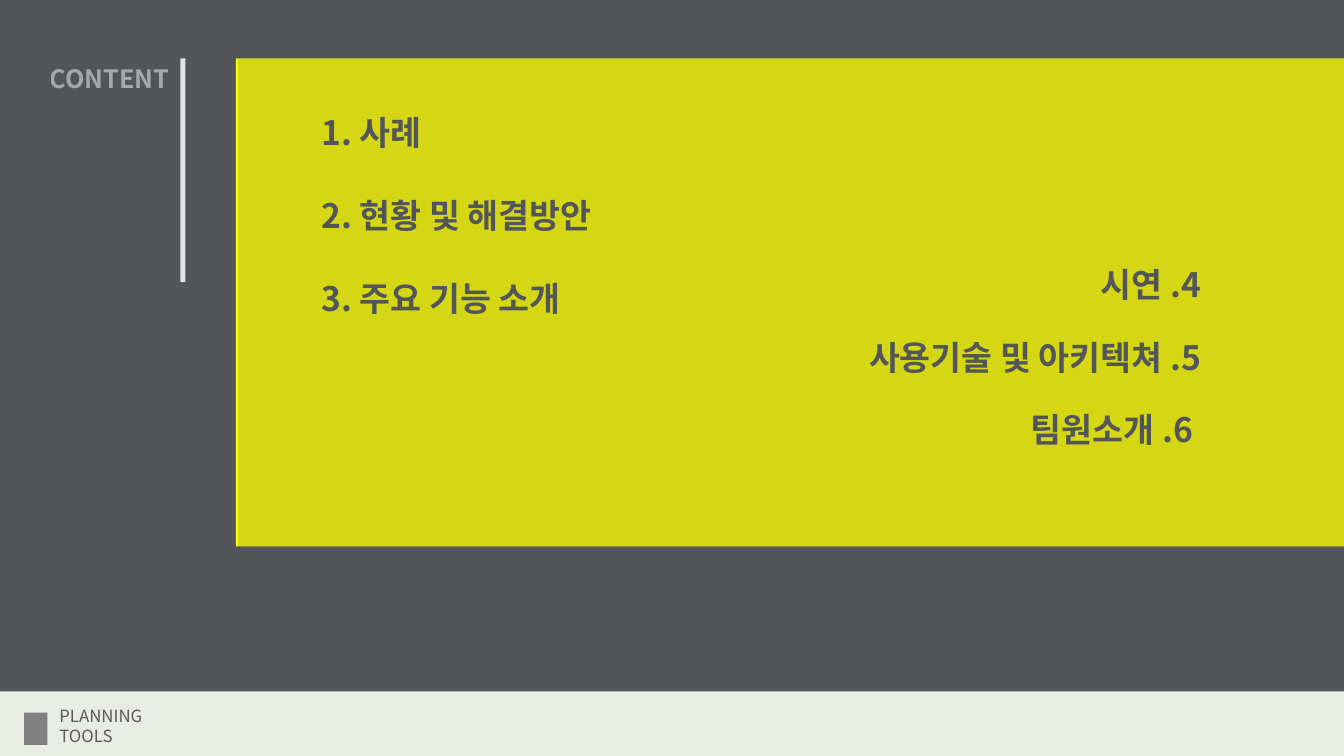
"""Build the contents slide of a planning tool deck."""
from dataclasses import dataclass

from lxml.etree import SubElement
from pptx import Presentation
from pptx.dml.color import RGBColor
from pptx.enum.shapes import MSO_SHAPE
from pptx.enum.text import MSO_ANCHOR, MSO_AUTO_SIZE, PP_ALIGN
from pptx.oxml.ns import qn
from pptx.util import Inches, Pt


@dataclass(frozen=True)
class Theme:
    font: str = "Noto Sans CJK KR"
    slate: str = "525659"
    yellow: str = "FFFF00"
    white: str = "FFFFFF"
    pale: str = "E7E6E6"
    footer: str = "E8ECE5"
    marker: str = "808080"
    caption: str = "595959"
    title_size: int = 18
    item_size: int = 24
    caption_size: int = 12


@dataclass(frozen=True)
class Area:
    left: float
    top: float
    width: float
    height: float

    def lengths(self) -> list[Inches]:
        return [Inches(n) for n in (self.left, self.top, self.width, self.height)]


@dataclass(frozen=True)
class Block:
    area: Area
    color: str
    opacity: int = 100


@dataclass(frozen=True)
class Label:
    area: Area
    lines: tuple[str, ...]
    size: int
    color: str
    align: PP_ALIGN = PP_ALIGN.LEFT
    bold: bool = False
    opacity: int = 100


THEME = Theme()
SLIDE_WIDTH, SLIDE_HEIGHT = 13.33, 7.5
PANEL_TOP, PANEL_HEIGHT = 0.58, 4.84
FOOTER_TOP = 6.86
LEFT_ITEMS = ("1. 사례", "2. 현황 및 해결방안", "3. 주요 기능 소개")
RIGHT_ITEMS = ("시연 .4", "사용기술 및 아키텍쳐 .5", "팀원소개 .6")
RIGHT_EDGES = (12.01, 12.01, 11.93)
ITEM_WIDTH, ITEM_HEIGHT = 4.1, 0.5


def panel(left: float, color: str, opacity: int = 100) -> Block:
    area = Area(left, PANEL_TOP, SLIDE_WIDTH - left, PANEL_HEIGHT)
    return Block(area, color, opacity)


BLOCKS = (
    panel(2.34, THEME.yellow),
    Block(Area(1.79, PANEL_TOP, 0.05, 2.22), THEME.white, 84),
    Block(Area(0, FOOTER_TOP, SLIDE_WIDTH, SLIDE_HEIGHT - FOOTER_TOP), THEME.footer),
    Block(Area(0.24, 7.07, 0.23, 0.32), THEME.marker),
    panel(2.36, THEME.slate, 23),
)
TITLE = Label(Area(0.29, PANEL_TOP, 1.49, 0.4), ("CONTENT",), THEME.title_size,
              THEME.pale, PP_ALIGN.RIGHT, True, 56)
CAPTION = Label(Area(0.49, 6.95, 1.59, 0.5), ("PLANNING", "TOOLS"),
                THEME.caption_size, THEME.caption)


def item_label(text: str, left: float, top: float, align: PP_ALIGN) -> Label:
    area = Area(left, top, ITEM_WIDTH, ITEM_HEIGHT)
    return Label(area, (text,), THEME.item_size, THEME.slate, align, True)


def set_opacity(element, percent: int) -> None:
    if percent < 100:
        for color in element.iter(qn("a:srgbClr")):
            SubElement(color, qn("a:alpha"), val=str(percent * 1000))


def draw_block(slide, block: Block) -> None:
    shape = slide.shapes.add_shape(MSO_SHAPE.RECTANGLE, *block.area.lengths())
    shape.shadow.inherit = False
    shape.fill.solid()
    shape.fill.fore_color.rgb = RGBColor.from_string(block.color)
    shape.line.fill.background()
    set_opacity(shape.fill._xPr, block.opacity)


def format_span(span, label: Label) -> None:
    span.font.size = Pt(label.size)
    span.font.bold = label.bold
    span.font.name = THEME.font
    span.font.color.rgb = RGBColor.from_string(label.color)
    properties = span._r.get_or_add_rPr()
    properties.set("kern", "0")
    set_opacity(properties, label.opacity)
    SubElement(properties, qn("a:ea"), typeface=THEME.font)


def write_label(box, label: Label) -> None:
    box.left, box.top, box.width, box.height = label.area.lengths()
    frame = box.text_frame
    frame.word_wrap = True
    frame.auto_size = MSO_AUTO_SIZE.NONE
    frame.vertical_anchor = MSO_ANCHOR.TOP
    frame.text = "\n".join(label.lines)
    for para in frame.paragraphs:
        para.alignment = label.align
        for span in para.runs:
            format_span(span, label)


def draw_label(slide, label: Label) -> None:
    write_label(slide.shapes.add_textbox(*label.area.lengths()), label)


def main() -> None:
    deck = Presentation()
    deck.slide_width, deck.slide_height = Inches(SLIDE_WIDTH), Inches(SLIDE_HEIGHT)
    page = deck.slides.add_slide(deck.slide_layouts[5])
    page.background.fill.solid()
    page.background.fill.fore_color.rgb = RGBColor.from_string(THEME.slate)
    write_label(page.shapes.title, TITLE)
    for block in BLOCKS:
        draw_block(page, block)
    draw_label(page, CAPTION)
    for row, text in enumerate(LEFT_ITEMS):
        draw_label(page, item_label(text, 3.09, 1.06 + row * 0.825, PP_ALIGN.LEFT))
    for row, (text, edge) in enumerate(zip(RIGHT_ITEMS, RIGHT_EDGES)):
        left = edge - ITEM_WIDTH
        draw_label(page, item_label(text, left, 2.57 + row * 0.72, PP_ALIGN.RIGHT))
    deck.save("out.pptx")


main()
